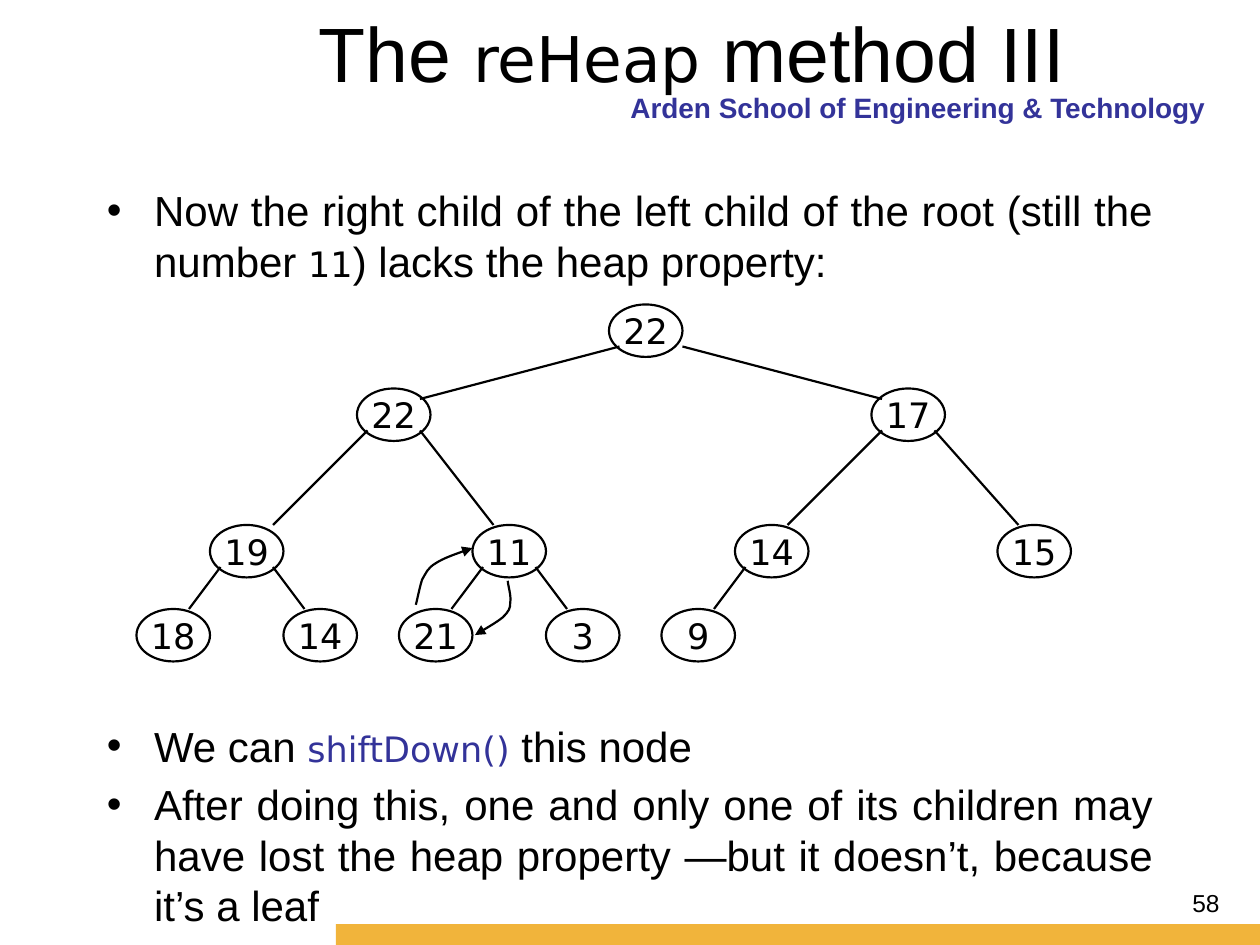
from lxml import etree
from pptx import Presentation
from pptx import util as u
from pptx.dml.color import RGBColor
from pptx.enum import shapes, text
from pptx.oxml.ns import qn

ALIGN = text.PP_ALIGN


def color(value):
    return RGBColor.from_string(value)


def add_text(paragraph, content, size=24, font="Arial", fill="000000", bold=False):
    run = paragraph.add_run()
    run.text = content
    run.font.size = u.Pt(size)
    run.font.name = font
    run.font.bold = bold
    run.font.color.rgb = color(fill)


class HeapSlide:
    ink = "000000"
    accent = "333399"
    band = "F1B43B"
    code = "DejaVu Sans"
    line_width = 1.25
    node_width = 42
    node_height = 30

    def __init__(self, presentation):
        self.slide = presentation.slides.add_slide(presentation.slide_layouts[6])
        self.shapes = self.slide.shapes

    def text_box(self, left, top, width, height, paragraphs, align, bullet=False, inset=(7.2, 3.6)):
        box = self.shapes.add_textbox(u.Pt(left), u.Pt(top), u.Pt(width), u.Pt(height))
        frame = box.text_frame
        frame.word_wrap = True
        frame.margin_left, frame.margin_top = (u.Pt(value) for value in inset)
        for index, runs in enumerate(paragraphs):
            paragraph = frame.add_paragraph() if index else frame.paragraphs[0]
            paragraph.alignment = align
            if bullet:
                self.bullet(paragraph)
            for content, style in runs:
                add_text(paragraph, content, **style)

    def bullet(self, paragraph):
        paragraph.space_before = u.Pt(4.8)
        properties = paragraph._p.get_or_add_pPr()
        properties.set("marL", str(u.Pt(27)))
        properties.set("indent", str(u.Pt(-27)))
        etree.SubElement(properties, qn("a:buFont")).set("typeface", "Arial")
        etree.SubElement(properties, qn("a:buChar")).set("char", "•")

    def bar(self, left, top, width, height):
        shape = self.shapes.add_shape(
            shapes.MSO_SHAPE.RECTANGLE, u.Pt(left), u.Pt(top), u.Pt(width), u.Pt(height))
        shape.shadow.inherit = False
        shape.fill.solid()
        shape.fill.fore_color.rgb = color(self.band)
        shape.line.fill.background()

    def outline(self, shape):
        shape.line.color.rgb = color(self.ink)
        shape.line.width = u.Pt(self.line_width)

    def node(self, label, left, top):
        shape = self.shapes.add_shape(
            shapes.MSO_SHAPE.OVAL, u.Pt(left), u.Pt(top),
            u.Pt(self.node_width), u.Pt(self.node_height))
        shape.shadow.inherit = False
        shape.fill.background()
        self.outline(shape)
        frame = shape.text_frame
        frame.word_wrap = False
        frame.vertical_anchor = text.MSO_ANCHOR.MIDDLE
        frame.paragraphs[0].alignment = ALIGN.CENTER
        add_text(frame.paragraphs[0], label, size=20, font=self.code, fill=self.ink)

    def edge(self, start, end):
        connector = self.shapes.add_connector(
            shapes.MSO_CONNECTOR.STRAIGHT, *(u.Pt(value) for value in start + end))
        self.outline(connector)
        etree.SubElement(connector._element.spPr, qn("a:effectLst"))

    def curved_arrow(self, points):
        start, *rest = [(u.Pt(x), u.Pt(y)) for x, y in points]
        builder = self.shapes.build_freeform(*start)
        builder.add_line_segments(rest, close=False)
        shape = builder.convert_to_shape()
        shape.shadow.inherit = False
        shape.fill.background()
        self.outline(shape)
        segments = shape._element.findall(".//" + qn("a:lnTo"))
        for first in range(0, len(segments), 3):
            curve = etree.SubElement(segments[first].getparent(), qn("a:cubicBezTo"))
            for segment in segments[first:first + 3]:
                curve.append(segment[0])
                segment.getparent().remove(segment)
        etree.SubElement(shape.line._get_or_add_ln(), qn("a:tailEnd")).set("type", "triangle")


def main():
    presentation = Presentation()
    presentation.slide_width, presentation.slide_height = u.Pt(720), u.Pt(540)
    page = HeapSlide(presentation)
    plain = {}
    code = {"size": 20, "font": page.code}

    page.text_box(294, 48, 402, 24, [[("Arden School of Engineering & Technology",
                  {"size": 16, "fill": page.accent, "bold": True})]], ALIGN.RIGHT)
    page.bar(192, 528, 528, 12)
    page.text_box(536, 504, 168, 37, [[("58", {"size": 14})]], ALIGN.RIGHT)
    page.text_box(50, -6, 620, 104, [[
        ("The ", {"size": 44}),
        ("reHeap", {"size": 36, "font": page.code}),
        (" method III", {"size": 44}),
    ]], ALIGN.CENTER, inset=(78, 9))
    page.text_box(54, 102, 612, 78, [[
        ("Now the right child of the left child of the root (still the number ", plain),
        ("11", code),
        (") lacks the heap property:", plain),
    ]], ALIGN.JUSTIFY, bullet=True)
    page.text_box(54, 408, 612, 114, [
        [("We can ", plain), ("shiftDown()", {**code, "fill": page.accent}), (" this node", plain)],
        [("After doing this, one and only one of its children may have lost the heap "
          "property —but it doesn’t, because it’s a leaf", plain)],
    ], ALIGN.JUSTIFY, bullet=True)

    levels = [174, 222, 300, 348]
    nodes = [
        ("22", 348, 0), ("22", 204, 1), ("17", 498, 1),
        ("19", 120, 2), ("11", 270, 2), ("14", 420, 2), ("15", 570, 2),
        ("18", 78, 3), ("14", 162, 3), ("21", 228, 3), ("3", 312, 3), ("9", 378, 3),
    ]
    for label, left, level in nodes:
        page.node(label, left, levels[level])

    edges = [
        (0, 6, 1, 36, 6), (0, 42, 2, 6, 6),
        (1, 6, 3, 36, 0), (1, 36, 4, 12, 0), (2, 6, 5, 30, 0), (2, 36, 6, 12, 0),
        (3, 6, 7, 30, 0), (3, 36, 8, 12, 0), (4, 6, 9, 30, 0), (4, 36, 10, 12, 0),
        (5, 6, 11, 30, 0),
    ]
    for parent, exit_x, child, entry_x, entry_y in edges:
        _, parent_left, parent_level = nodes[parent]
        _, child_left, child_level = nodes[child]
        page.edge((parent_left + exit_x, levels[parent_level] + 24),
                  (child_left + entry_x, levels[child_level] + entry_y))

    page.curved_arrow([
        (237.6, 345.6), (238.3, 343.4), (239.8, 335.5), (241.2, 331.2), (243.4, 327.6),
        (244.1, 324.7), (249.1, 321.8), (253.4, 319), (265.7, 314.6), (270, 313.2)])
    page.curved_arrow([
        (290.2, 331.9), (290.2, 334.1), (292.3, 340.6), (291.6, 344.2), (291.6, 347.8),
        (290.9, 349.2), (287.3, 352.8), (283.7, 355.7), (275, 360.7), (271.4, 362.9)])
    presentation.save("out.pptx")


if __name__ == "__main__":
    main()
